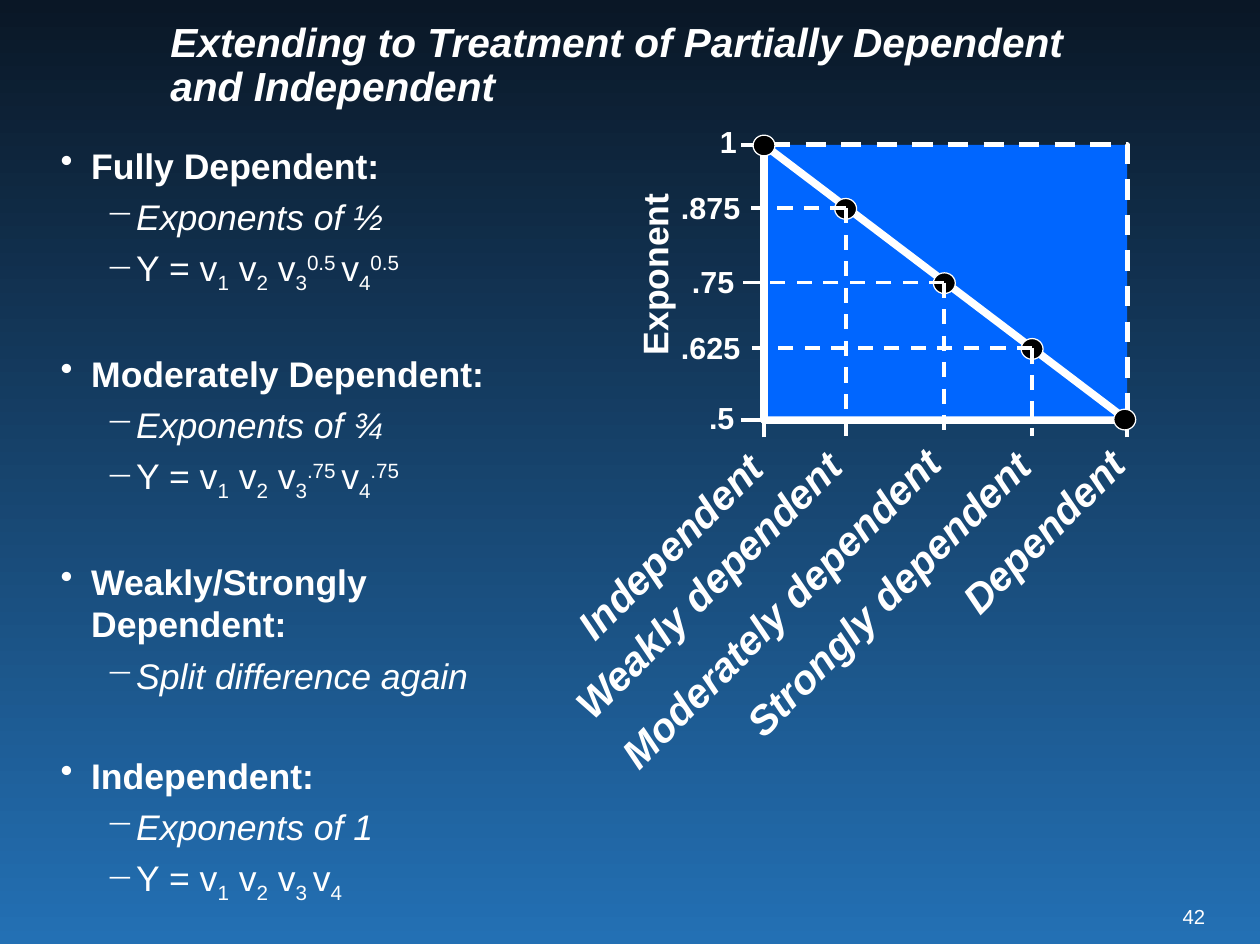
from lxml.etree import SubElement
from pptx import Presentation
from pptx.dml.color import RGBColor
from pptx.enum.dml import MSO_LINE
from pptx.enum.shapes import MSO_CONNECTOR, MSO_SHAPE
from pptx.enum.text import MSO_ANCHOR, MSO_AUTO_SIZE, PP_ALIGN
from pptx.oxml.ns import qn
from pptx.util import Inches, Pt

WHITE = "FFFFFF"
LEFT, TOP, WIDTH, HEIGHT = 6.27, 1.19, 2.98, 2.26
BOTTOM = TOP + HEIGHT
SUB, SUPER = -25000, 30000

# Dependence name, marker x and y, name box, exponent, exponent box
LEVELS = [
    ("Independent", 6.27, 1.19, (3.44, 4.63, 3.29, 0.45), "1", (5.81, 0.96, 0.37, 0.4)),
    ("Weakly dependent", 6.94, 1.71, (4.1, 4.61, 3.29, 0.5), ".875", (5.49, 1.5, 0.76, 0.4)),
    ("Moderately dependent", 7.75, 2.32, (4.53, 4.74, 3.74, 0.5), ".75", (5.58, 2.11, 0.64, 0.4)),
    ("Strongly dependent", 8.47, 2.86, (5.55, 4.65, 3.41, 0.5), ".625", (5.49, 2.65, 0.76, 0.4)),
    ("Dependent", 9.23, 3.44, (6.41, 4.6, 3.29, 0.45), ".5", (5.72, 3.23, 0.51, 0.4)),
]


def formula(exponent=""):
    """Return the (text, baseline) spans of one Y equation."""
    spans = [("Y = v", 0), ("1", SUB), (" v", 0), ("2", SUB), (" v", 0), ("3", SUB)]
    spans.append((exponent + " ", SUPER if exponent else SUB))
    spans += [("v", 0), ("4", SUB)]
    return spans + [(exponent, SUPER)] if exponent else spans


# Heading, italic remark, equation spans
CASES = [
    ("Fully Dependent:", "Exponents of ½", formula("0.5")),
    ("Moderately Dependent:", "Exponents of ¾", formula(".75")),
    ("Weakly/Strongly Dependent:", "Split difference again", None),
    ("Independent:", "Exponents of 1", formula()),
]


def color(value):
    return RGBColor.from_string(value)


def apply(target, **values):
    for name, value in values.items():
        setattr(target, name, value)


def write(para, spans, size, **look):
    """Add (text, baseline) spans in white Arial."""
    for text, baseline in spans:
        span = para.add_run()
        span.text = text
        apply(span.font, name="Arial", size=Pt(size), **look)
        span.font.color.rgb = color(WHITE)
        if baseline:
            span.font._element.set("baseline", str(baseline))


def add_box(page, place, **frame):
    box = page.shapes.add_textbox(*map(Inches, place))
    apply(box.text_frame, **{"word_wrap": True, **frame})
    return box


def add_label(page, text, place, size, rotation=0, align=PP_ALIGN.LEFT, **look):
    box = add_box(page, place, auto_size=MSO_AUTO_SIZE.SHAPE_TO_FIT_TEXT)
    box.rotation = rotation
    para = box.text_frame.paragraphs[0]
    para.alignment = align
    write(para, [(text, 0)], size, bold=True, **look)


def add_shape(page, kind, place, line_width, fill=None, dash=None):
    shape = page.shapes.add_shape(kind, *map(Inches, place))
    shape.shadow.inherit = False
    if fill:
        shape.fill.solid()
        shape.fill.fore_color.rgb = color(fill)
    else:
        shape.fill.background()
    apply(shape.line, width=Pt(line_width), dash_style=dash)
    shape.line.color.rgb = color(WHITE)
    return shape


def add_line(page, start, end, dash=None):
    line = page.shapes.add_connector(MSO_CONNECTOR.STRAIGHT, *map(Inches, start + end))
    apply(line.line, width=Pt(2.25), dash_style=dash)
    line.line.color.rgb = color(WHITE)
    SubElement(line._element.spPr, qn("a:effectLst"))
    return line


def add_bullet(para, mark, margin):
    properties = para._p.get_or_add_pPr()
    properties.set("marL", str(Inches(margin)))
    properties.set("indent", str(Inches(-0.25)))
    SubElement(properties, qn("a:buChar")).set("char", mark)


def add_title(page):
    box = add_box(page, (1.3, 0, 7.56, 1.08), vertical_anchor=MSO_ANCHOR.MIDDLE)
    para = box.text_frame.paragraphs[0]
    para.line_spacing = Pt(26)
    title = "Extending to Treatment of Partially Dependent and Independent"
    write(para, [(title, 0)], 24, bold=True, italic=True)


def add_cases(page):
    frame = add_box(page, (0.4, 1.13, 4.07, 6.36)).text_frame
    for index, (heading, remark, equation) in enumerate(CASES):
        para = frame.add_paragraph() if index else frame.paragraphs[0]
        add_bullet(para, "•", 0.25)
        para.space_before = Pt(34 if index else 0)
        write(para, [(heading, 0)], 21, bold=True)
        for spans, italic in (([(remark, 0)], True), (equation, False)):
            if spans:
                para = frame.add_paragraph()
                para.level = 1
                add_bullet(para, "−", 0.62)
                para.space_before = Pt(5)
                write(para, spans, 21, italic=italic)


def add_graph(page):
    for _, _, _, _, exponent, place in LEVELS:
        add_label(page, exponent, place, 18)
    plot = add_shape(page, MSO_SHAPE.RECTANGLE, (LEFT, TOP, WIDTH, HEIGHT), 3,
                     "0066FF", MSO_LINE.DASH)
    add_shape(page, MSO_SHAPE.RIGHT_TRIANGLE, (LEFT, TOP, WIDTH, HEIGHT), 4.5)
    for y in (TOP, BOTTOM):
        add_line(page, (6.08, y), (LEFT, y))
    middle = TOP + HEIGHT / 2
    add_line(page, (6.1, middle), (LEFT, middle)).end_connect(plot, 1)
    for x in (LEFT, LEFT + WIDTH):
        add_line(page, (x, 3.59), (x, 3.43))
    add_label(page, "Exponent", (4.49, 1.91, 1.76, 0.45), 21, 270)

    for _, x, y, *_ in LEVELS:
        add_shape(page, MSO_SHAPE.OVAL, (x - 0.09, y - 0.08, 0.18, 0.17), 0.75, "000000")
    for _, x, y, _, exponent, _ in LEVELS[1:-1]:
        start = LEFT if exponent == ".75" else 6.1
        add_line(page, (x, y), (x, 3.58), MSO_LINE.DASH)
        add_line(page, (x, y), (start, y), MSO_LINE.DASH)
    for name, _, _, place, *_ in LEVELS:
        add_label(page, name, place, 24, 315, PP_ALIGN.RIGHT, italic=True)


def add_page_number(page):
    box = add_box(page, (9.69, 7.42, 0.2, 0.2), word_wrap=False, margin_left=0,
                  margin_right=0, margin_top=0, margin_bottom=0)
    para = box.text_frame.paragraphs[0]
    para.alignment = PP_ALIGN.RIGHT
    write(para, [("42", 0)], 12)


def paint_background(page):
    fill = page.background.fill
    fill.gradient()
    fill.gradient_angle = 270
    for stop, value in zip(fill.gradient_stops, ("0A1726", "2370B4")):
        stop.color.rgb = color(value)


def main():
    deck = Presentation()
    apply(deck, slide_width=Inches(10.34), slide_height=Inches(7.75))
    page = deck.slides.add_slide(deck.slide_layouts[6])
    paint_background(page)
    add_page_number(page)
    add_title(page)
    add_cases(page)
    add_graph(page)
    deck.save("out.pptx")


if __name__ == "__main__":
    main()
